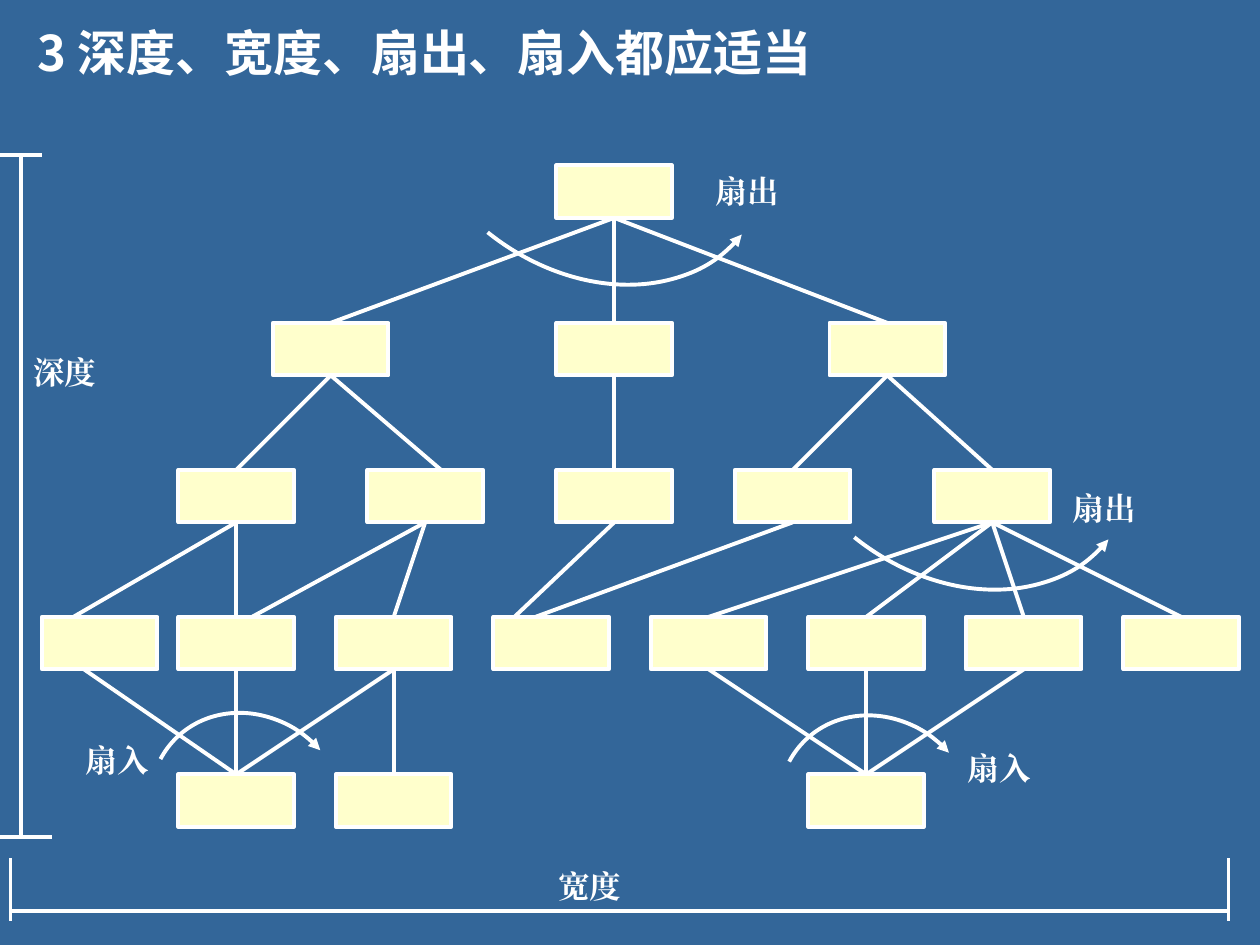
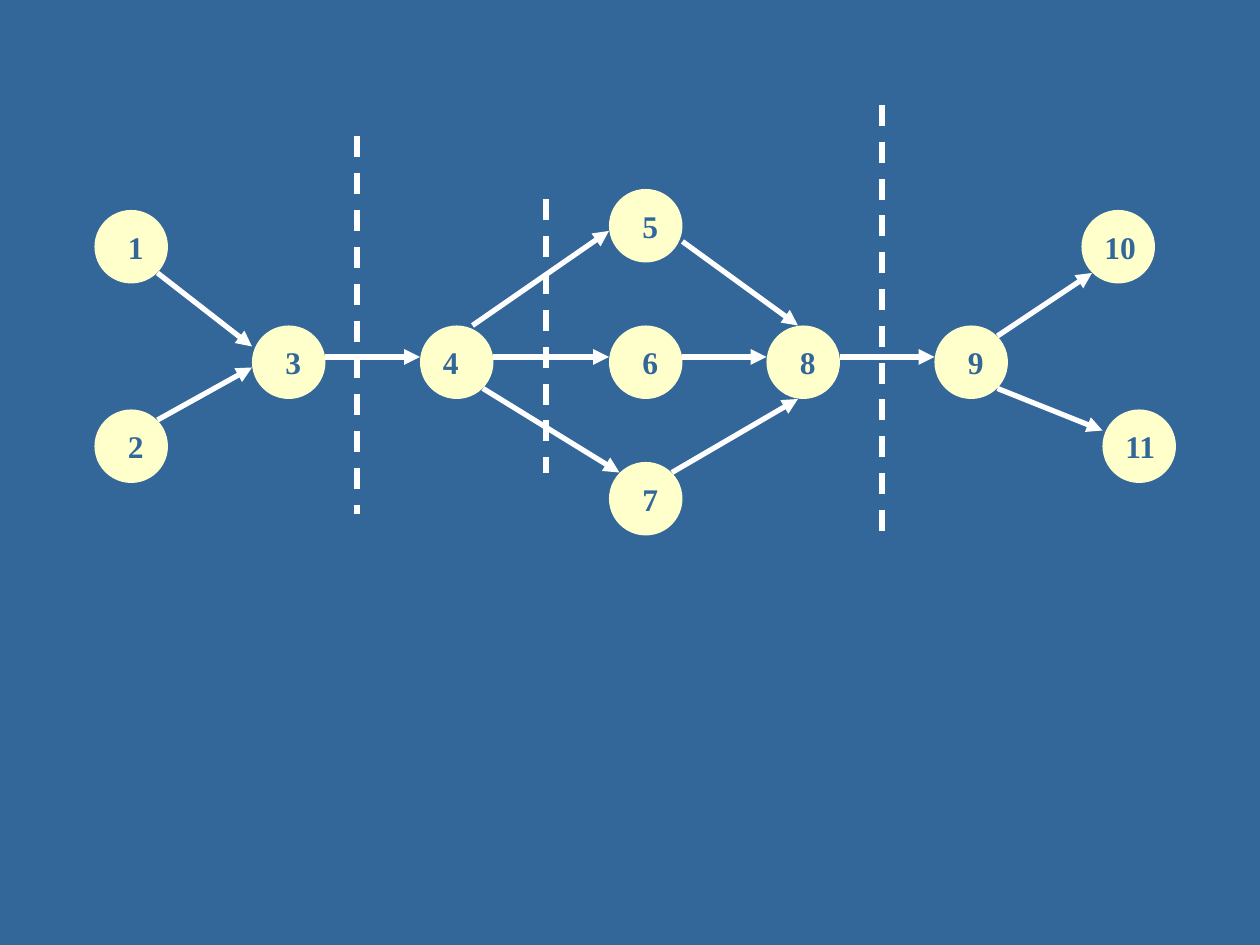
from lxml.etree import SubElement
from pptx import Presentation
from pptx.dml.color import RGBColor
from pptx.enum.dml import MSO_LINE
from pptx.enum.shapes import MSO_CONNECTOR, MSO_SHAPE
from pptx.enum.text import MSO_AUTO_SIZE
from pptx.oxml.ns import qn
from pptx.util import Inches, Pt

COLORS = {"background": "336699", "node": "FFFFCC", "line": "FFFFFF",
          "title": "FFFFFF", "label": "FFFFFF", "number": "336699"}
TITLE_FONT, LABEL_FONT = "Noto Sans CJK SC", "Times New Roman"
COLUMNS, ROWS = 120, 90
TOP, BOTTOM = 0, 2
BOX_W, BOX_H = 11, 5
CIRCLE = 7

LEVEL_ROWS = [15.75, 30.75, 44.75, 58.75, 73.75]
LEVEL_COLUMNS = [
    [53],
    [26, 53, 79],
    [17, 35, 53, 70, 89],
    [4] + [17 + 15 * i for i in range(7)],
    [17, 32, 77],
]
# Upper level, upper box, lower box, then the shifts from the middle of each side
LINKS = [
    (0, 0, 0), (0, 0, 1), (0, 0, 2),
    (1, 0, 0), (1, 0, 1, 0, 1.5), (1, 1, 2), (1, 2, 3), (1, 2, 4),
    (2, 0, 0, 0, -2.5), (2, 0, 1), (2, 1, 1, 0, 1.5), (2, 1, 2),
    (2, 2, 3, 0, -3.5), (2, 3, 3, 0, -1.5),
    (2, 4, 4), (2, 4, 5), (2, 4, 6), (2, 4, 7),
    (3, 0, 0, -1.5), (3, 1, 0), (3, 2, 0), (3, 2, 1),
    (3, 4, 2), (3, 5, 2), (3, 6, 2),
]
FAN_OUT_ARCS = [(36.84, -4.56), (71.76, 24.48)]
FAN_IN_ARCS = [(14.76, 67.44), (74.64, 67.68)]
LABELS = [("扇出", 67, 15.75), ("扇出", 101, 46), ("扇入", 7, 70),
          ("扇入", 91, 70.75), ("宽度", 52, 82), ("深度", 2, 33)]
RULERS = [
    ((1, 86.75), (117, 86.75)), ((1, 81.75), (1, 87.75)), ((117, 81.75), (117, 87.75)),
    ((2, 14.75), (2, 79.75)), ((0, 79.75), (5, 79.75)), ((0, 14.75), (4, 14.75)),
]

# Number: column and row of the circle, indent of the number
STEPS = {
    1: (9, 20, 2), 2: (9, 39, 2), 3: (24, 31, 2), 4: (40, 31, 1),
    5: (58, 18, 2), 6: (58, 31, 2), 7: (58, 44, 2), 8: (73, 31, 2),
    9: (89, 31, 2), 10: (103, 20, 1), 11: (105, 39, 1),
}
ARROWS = [
    ((15, 26), (24, 33)), ((15, 40), (24, 35)), ((31, 34), (40, 34)),
    ((47, 34), (58, 34)), ((65, 34), (73, 34)), ((80, 34), (89, 34)),
    ((95, 32), (104, 26)), ((95, 37), (105, 41)), ((45, 31), (58, 22)),
    ((46, 37), (59, 45)), ((64, 45), (76, 38)), ((65, 23), (76, 31)),
]
DIVIDERS = [(34, 13, 49), (84, 10, 51), (52, 19, 45)]


def rgb(name):
    return RGBColor.from_string(COLORS[name])


class Deck:
    """Holds the shared style and the slide being drawn; lengths are grid units."""

    def __init__(self):
        self.prs = Presentation()
        self.prs.slide_width, self.prs.slide_height = Inches(10), Inches(7.5)
        self.s = None

    def new_slide(self):
        self.s = self.prs.slides.add_slide(self.prs.slide_layouts[6])
        fill = self.s.background.fill
        fill.solid()
        fill.fore_color.rgb = rgb("background")

    def x(self, columns):
        return round(self.prs.slide_width * columns / COLUMNS)

    def y(self, rows):
        return round(self.prs.slide_height * rows / ROWS)

    def frame(self, column, row, w, h):
        return self.x(column), self.y(row), self.x(w), self.y(h)

    def stroke(self, line, width):
        line.color.rgb = rgb("line")
        line.width = Pt(width)

    def arrowhead(self, sp, end):
        SubElement(sp.line._get_or_add_ln(), qn(f"a:{end}"), type="triangle")

    def node(self, kind, column, row, w, h, outline=None):
        sp = self.s.shapes.add_shape(kind, *self.frame(column, row, w, h))
        sp.shadow.inherit = False
        sp.fill.solid()
        sp.fill.fore_color.rgb = rgb("node")
        if outline:
            self.stroke(sp.line, outline)
        else:
            sp.line.fill.background()
        return sp

    def line(self, start, end, width, arrow=False, dashed=False):
        sp = self.s.shapes.add_connector(
            MSO_CONNECTOR.STRAIGHT,
            self.x(start[0]), self.y(start[1]), self.x(end[0]), self.y(end[1]))
        self.stroke(sp.line, width)
        if dashed:
            sp.line.dash_style = MSO_LINE.DASH
        if arrow:
            self.arrowhead(sp, "tailEnd")
        SubElement(sp._element.spPr, qn("a:effectLst"))
        return sp

    def arc(self, column, row, w, h, turn, start, stop, arrow_end):
        """Arc running clockwise from start to stop degrees, then turned."""
        sp = self.s.shapes.add_shape(MSO_SHAPE.ARC, *self.frame(column, row, w, h))
        sp.shadow.inherit = False
        sp.fill.background()
        sp.rotation = turn
        for i, degrees in enumerate((start, stop)):
            sp.adjustments[i] = degrees * 0.6
        self.stroke(sp.line, 2.25)
        self.arrowhead(sp, arrow_end)

    def text(self, text, column, row, w, h=4.8, size=18, font=LABEL_FONT, color="label"):
        tf = self.s.shapes.add_textbox(*self.frame(column, row, w, h)).text_frame
        tf.word_wrap = True
        tf.auto_size = MSO_AUTO_SIZE.SHAPE_TO_FIT_TEXT
        tf.text = text
        r = tf.paragraphs[0].runs[0]
        r.font.name, r.font.size, r.font.bold = font, Pt(size), True
        r.font.color.rgb = rgb(color)
        SubElement(r._r.get_or_add_rPr(), qn("a:ea"), typeface=font)


def draw_structure(deck):
    deck.new_slide()
    boxes = [[deck.node(MSO_SHAPE.RECTANGLE, column, row, BOX_W, BOX_H, 2.25)
              for column in columns]
             for row, columns in zip(LEVEL_ROWS, LEVEL_COLUMNS)]

    for level, upper, lower, *shifts in LINKS:
        from_shift, to_shift = (shifts + [0, 0])[:2]
        start = (LEVEL_COLUMNS[level][upper] + BOX_W / 2 + from_shift,
                 LEVEL_ROWS[level] + BOX_H)
        end = (LEVEL_COLUMNS[level + 1][lower] + BOX_W / 2 + to_shift,
               LEVEL_ROWS[level + 1])
        link = deck.line(start, end, 2.25)
        if not from_shift:
            link.begin_connect(boxes[level][upper], BOTTOM)
        if not to_shift:
            link.end_connect(boxes[level + 1][lower], TOP)

    for column, row in FAN_OUT_ARCS:
        deck.arc(column, row, 38, 30, 38.8, 0, 90, "headEnd")
    for column, row in FAN_IN_ARCS:
        deck.arc(column, row, 18, 19.92, 316.1, 255, 2.5, "tailEnd")
    for start, end in RULERS:
        deck.line(start, end, 2.25)
    for label, column, row in LABELS:
        deck.text(label, column, row, 14)
    deck.text("3 深度、宽度、扇出、扇入都应适当", 2.4, 1.56, 104, 6.84,
              size=28, font=TITLE_FONT, color="title")


def draw_flow(deck):
    deck.new_slide()
    for column, row, _ in STEPS.values():
        deck.node(MSO_SHAPE.OVAL, column, row, CIRCLE, CIRCLE)
    for start, end in ARROWS:
        deck.line(start, end, 3, arrow=True)
    for number, (column, row, indent) in STEPS.items():
        deck.text(str(number), column + indent, row + 1.1, CIRCLE - indent, color="number")
    for column, top, bottom in DIVIDERS:
        deck.line((column, top), (column, bottom), 3, dashed=True)


def main():
    deck = Deck()
    draw_structure(deck)
    draw_flow(deck)
    deck.prs.save("out.pptx")


if __name__ == "__main__":
    main()
